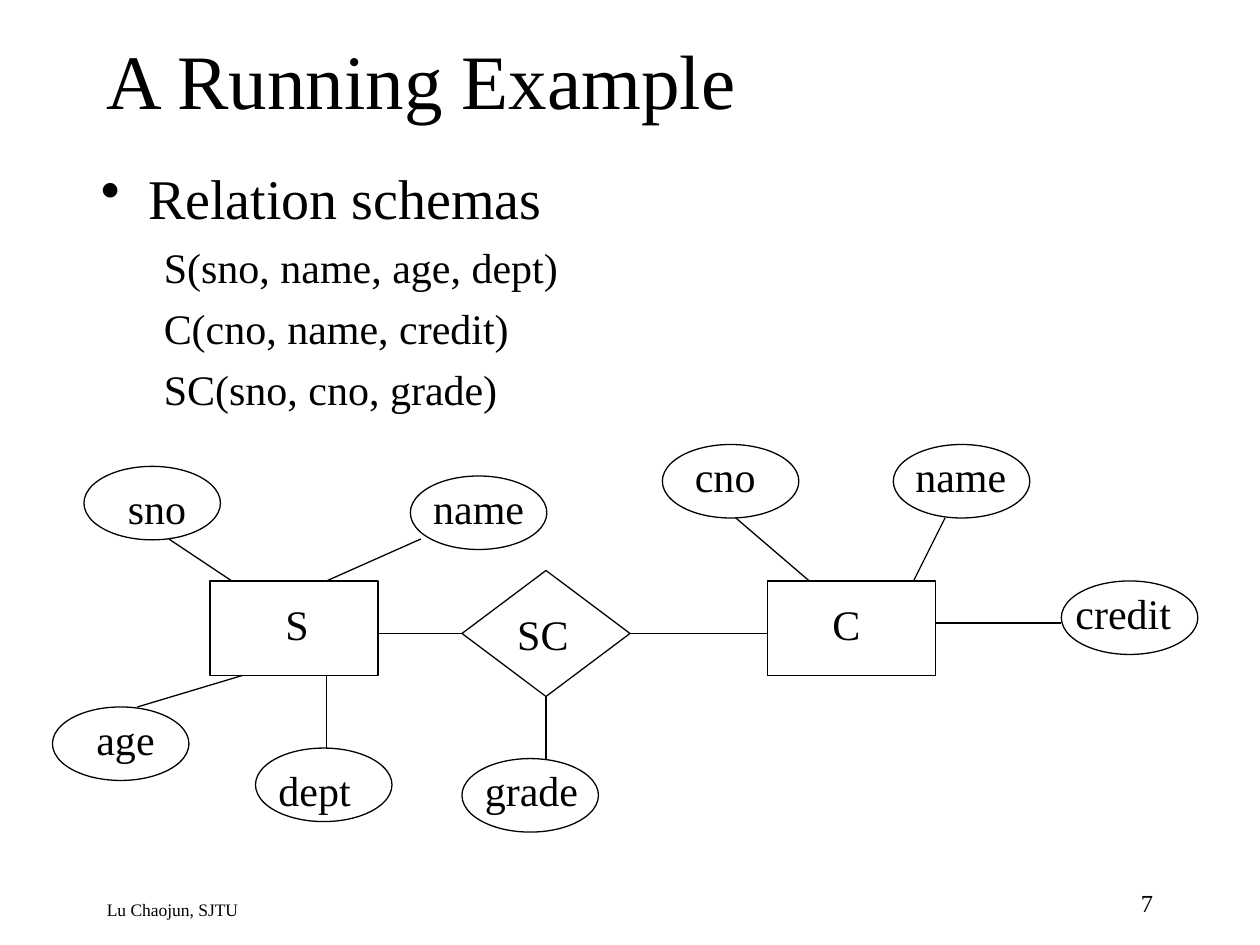
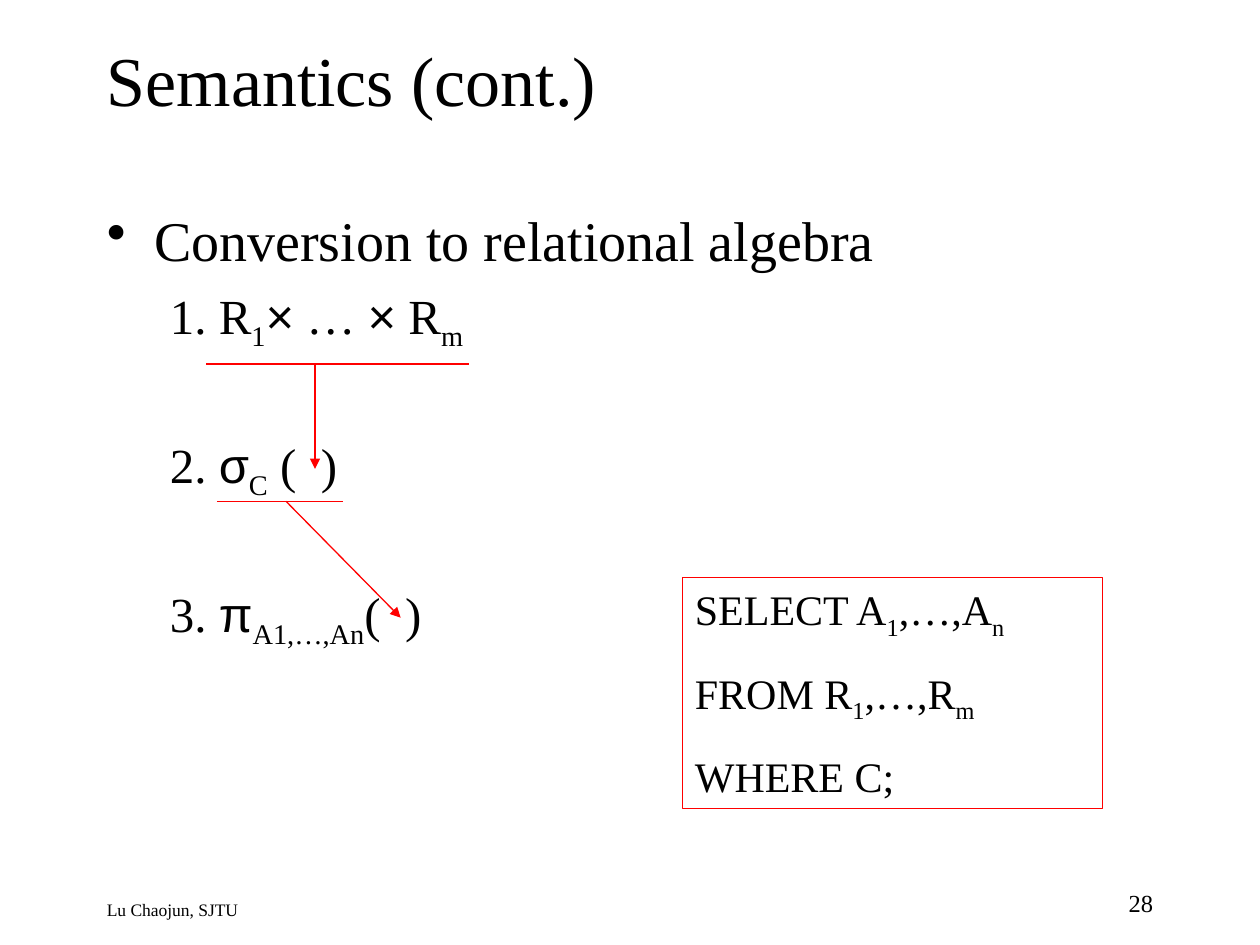
from dataclasses import dataclass

from lxml import etree
from pptx import Presentation
from pptx.dml.color import RGBColor
from pptx.enum.shapes import MSO_CONNECTOR, MSO_SHAPE
from pptx.enum.text import MSO_ANCHOR, PP_ALIGN
from pptx.oxml.ns import qn
from pptx.util import Pt

STRAIGHT = MSO_CONNECTOR.STRAIGHT
RECTANGLE, DIAMOND, ELLIPSE = MSO_SHAPE.RECTANGLE, MSO_SHAPE.DIAMOND, MSO_SHAPE.OVAL
LEFT, RIGHT = PP_ALIGN.LEFT, PP_ALIGN.RIGHT
TOP, MIDDLE = MSO_ANCHOR.TOP, MSO_ANCHOR.MIDDLE
LEFT_SIDE, BOTTOM_SIDE, RIGHT_SIDE = 1, 2, 3


@dataclass(frozen=True)
class Theme:
    font: str = "Times New Roman"
    symbol_font: str = "Arial"
    ink: RGBColor = RGBColor(0, 0, 0)
    paper: RGBColor = RGBColor(255, 255, 255)
    accent: RGBColor = RGBColor(255, 0, 0)
    line_width: float = 0.75
    heading_size: int = 32
    step_size: int = 28
    text_size: int = 24
    number_size: int = 14
    footer_size: int = 10


THEME = Theme()
ENTITY_SIZE = (96, 54)
RELATION_SIZE = (96, 72)
ATTRIBUTE_SIZE = (78, 42)


@dataclass(frozen=True)
class Span:
    text: str
    lowered: bool = False
    symbol: bool = False


def sub(text):
    return Span(text, lowered=True)


def symbol(text):
    return Span(text, symbol=True)


# Text

def add_para(frame, spans, size, before=0, align=LEFT):
    """Fill the empty first paragraph of the frame, or append a new one."""
    first = frame.paragraphs[0]
    para = frame.add_paragraph() if first.runs else first
    para.alignment = align
    if before:
        para.space_before = Pt(before)
    for span in [Span(spans)] if isinstance(spans, str) else spans:
        run = para.add_run()
        run.text = span.text
        if span.symbol:
            run.font.name = THEME.symbol_font
        if span.lowered:
            run.font._element.set("baseline", "-25000")
    return para, size


def style_para(para, size):
    para.font.name = THEME.font
    para.font.size = Pt(size)
    para.font.color.rgb = THEME.ink


def add_plain(frame, spans, size, before=0, align=LEFT):
    style_para(*add_para(frame, spans, size, before, align))


def add_bullet(frame, text):
    para, size = add_para(frame, text, THEME.heading_size)
    properties = para._p.get_or_add_pPr()
    properties.set("marL", str(Pt(27)))
    properties.set("indent", str(-Pt(27)))
    etree.SubElement(properties, qn("a:buChar")).set("char", "•")
    style_para(para, size)


def add_subitem(frame, spans, size, before):
    para, size = add_para(frame, spans, size, before)
    para.level = 1
    properties = para._p.get_or_add_pPr()
    properties.set("marL", str(Pt(58.5)))
    properties.set("indent", str(-Pt(22.5)))
    style_para(para, size)


def add_text_frame(page, left, top, width, height, anchor=TOP):
    box = page.shapes.add_textbox(Pt(left), Pt(top), Pt(width), Pt(height))
    frame = box.text_frame
    frame.word_wrap = True
    frame.vertical_anchor = anchor
    return frame


def add_label(page, text, left, top, width):
    frame = add_text_frame(page, left, top, width, 36)
    frame.margin_right = 0
    add_plain(frame, text, THEME.text_size)


# Shapes and lines

def add_outline(page, kind, left, top, size, color=THEME.ink, fill=THEME.paper):
    shape = page.shapes.add_shape(kind, Pt(left), Pt(top), *map(Pt, size))
    shape.shadow.inherit = False
    if fill is None:
        shape.fill.background()
    else:
        shape.fill.solid()
        shape.fill.fore_color.rgb = fill
    shape.line.color.rgb = color
    shape.line.width = Pt(THEME.line_width)
    return shape


def add_line(page, start, end, color=THEME.ink, arrow=False):
    line = page.shapes.add_connector(STRAIGHT, *map(Pt, start + end))
    line.line.color.rgb = color
    line.line.width = Pt(THEME.line_width)
    if arrow:
        tail = etree.SubElement(line.line._get_or_add_ln(), qn("a:tailEnd"))
        tail.set("type", "triangle")
    etree.SubElement(line._element.spPr, qn("a:effectLst"))
    return line


# Slides

def add_page(deck, title, title_size, number):
    page = deck.slides.add_slide(deck.slide_layouts[6])
    add_plain(add_text_frame(page, 54, 0, 612, 90, MIDDLE), title, title_size)
    add_plain(add_text_frame(page, 54, 510, 417.5, 18),
              "Lu Chaojun, SJTU", THEME.footer_size)
    add_plain(add_text_frame(page, 516, 504, 150, 24),
              number, THEME.number_size, align=RIGHT)
    return page


def add_running_example(deck):
    page = add_page(deck, "A Running Example", 44, "7")

    # Relation schemas
    frame = add_text_frame(page, 50.5, 90, 318, 168)
    add_bullet(frame, "Relation schemas")
    for schema in ("S(sno, name, age, dept)", "C(cno, name, credit)",
                   "SC(sno, cno, grade)"):
        add_subitem(frame, schema, THEME.text_size, before=6)

    # Entities and their relation
    add_outline(page, RECTANGLE, 120, 332, ENTITY_SIZE)
    add_outline(page, RECTANGLE, 438.5, 332, ENTITY_SIZE)
    relation = add_outline(page, DIAMOND, 264, 326, RELATION_SIZE)
    add_label(page, "S", 156, 338.5, 60)
    add_label(page, "C", 468.5, 338.5, 54)
    add_label(page, "SC", 288.5, 344, 66)
    for side, end in ((LEFT_SIDE, (216.5, 362)), (RIGHT_SIDE, (438.5, 362)),
                      (BOTTOM_SIDE, (312, 434))):
        add_line(page, (312, 362), end).begin_connect(relation, side)

    # Attributes: ellipse corner, then label corner and width
    attributes = (
        ("sno", 48, 266.5, 66, 272, 48),
        ("age", 30, 404, 48, 404, 48),
        ("dept", 146, 427.5, 152, 433.5, 60),
        ("name", 234.5, 272, 240.5, 272, 72),
        ("credit", 606.5, 332, 607.5, 332, 77),
        ("name", 510.5, 254, 516, 254, 72),
        ("cno", 378.5, 254, 390, 254, 54),
        ("grade", 264, 433.5, 270, 433.5, 72),
    )
    for name, left, top, label_left, label_top, label_width in attributes:
        add_outline(page, ELLIPSE, left, top, ATTRIBUTE_SIZE)
        add_label(page, name, label_left, label_top, label_width)

    # Links from attributes to entities
    for start, end in (
        ((96.5, 308), (132.5, 332)), ((240.5, 308), (186.5, 332)),
        ((138.5, 386), (78.5, 404)), ((186.5, 386), (186.5, 428)),
        ((420.5, 296), (462.5, 332)), ((540, 296), (522, 332)),
        ((534.5, 356), (606.5, 356)),
    ):
        add_line(page, start, end)


def add_semantics(deck):
    page = add_page(deck, "Semantics (cont.)", 40, "28")

    # Conversion steps
    blank = Span(" (\N{EN SPACE})")
    frame = add_text_frame(page, 54, 114, 612, 366)
    add_bullet(frame, "Conversion to relational algebra")
    steps = (
        (7, (Span("1. R"), sub("1"), symbol("×"), Span(" … "), symbol("×"),
             Span(" R"), sub("m"))),
        (47, (Span("2. "), symbol("σ"), sub("C"), blank)),
        (47, (Span("3. "), symbol("π"), sub("A1,…,An"),
              Span(blank.text.strip()))),
    )
    for before, spans in steps:
        add_subitem(frame, spans, THEME.step_size, before)

    # Query
    query = add_outline(page, RECTANGLE, 390, 330, (240, 132), THEME.accent, None)
    query.text_frame.word_wrap = True
    query.text_frame.vertical_anchor = TOP
    clauses = (
        (Span("SELECT A"), sub("1"), Span(",…,A"), sub("n")),
        (Span("FROM R"), sub("1"), Span(",…,R"), sub("m")),
        "WHERE C;",
    )
    for index, clause in enumerate(clauses):
        add_plain(query.text_frame, clause, THEME.text_size, 15 if index else 0)

    # Each result is underlined and feeds the next step
    for start, end, arrow in (
        ((118, 208), (268, 208), False), ((180, 208), (180, 268), True),
        ((124, 286.5), (196, 286.5), False), ((163.5, 286.5), (229, 353), True),
    ):
        add_line(page, start, end, THEME.accent, arrow)


def main():
    deck = Presentation()
    deck.slide_width, deck.slide_height = Pt(720), Pt(540)
    add_running_example(deck)
    add_semantics(deck)
    deck.save("out.pptx")


if __name__ == "__main__":
    main()
